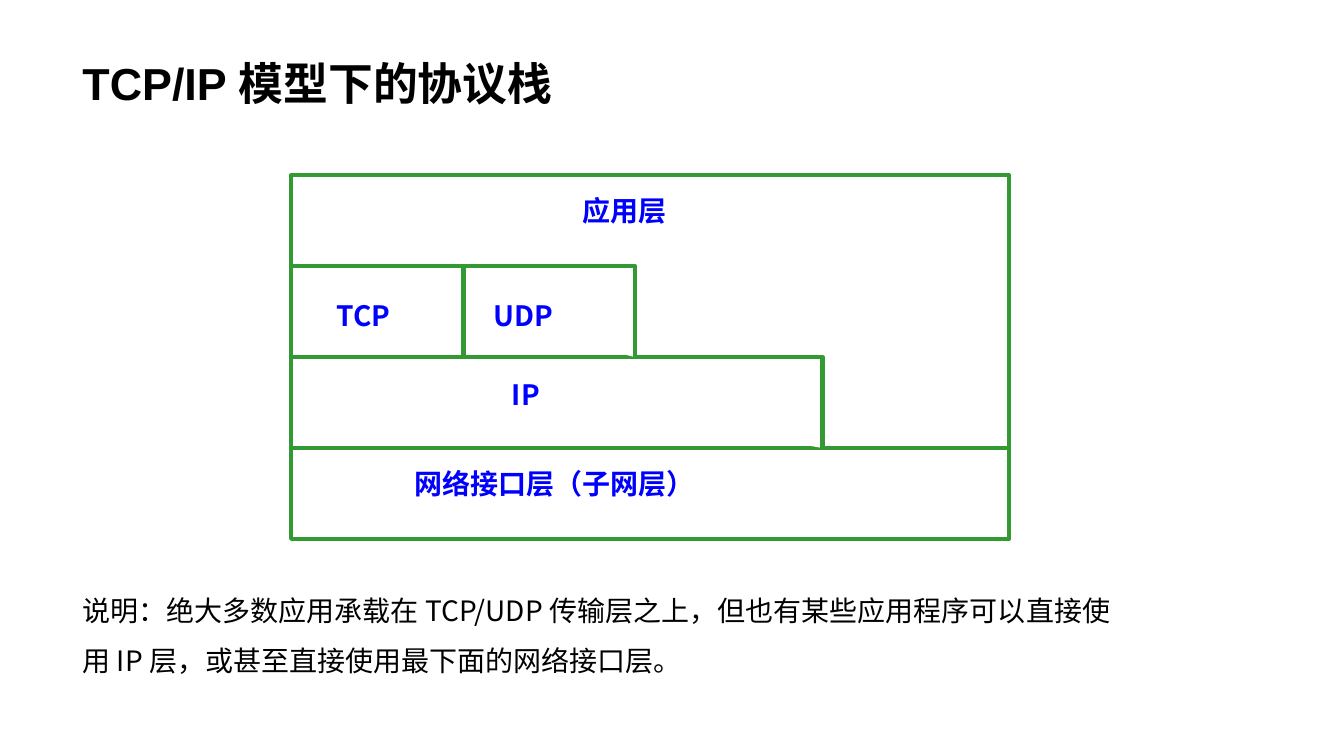
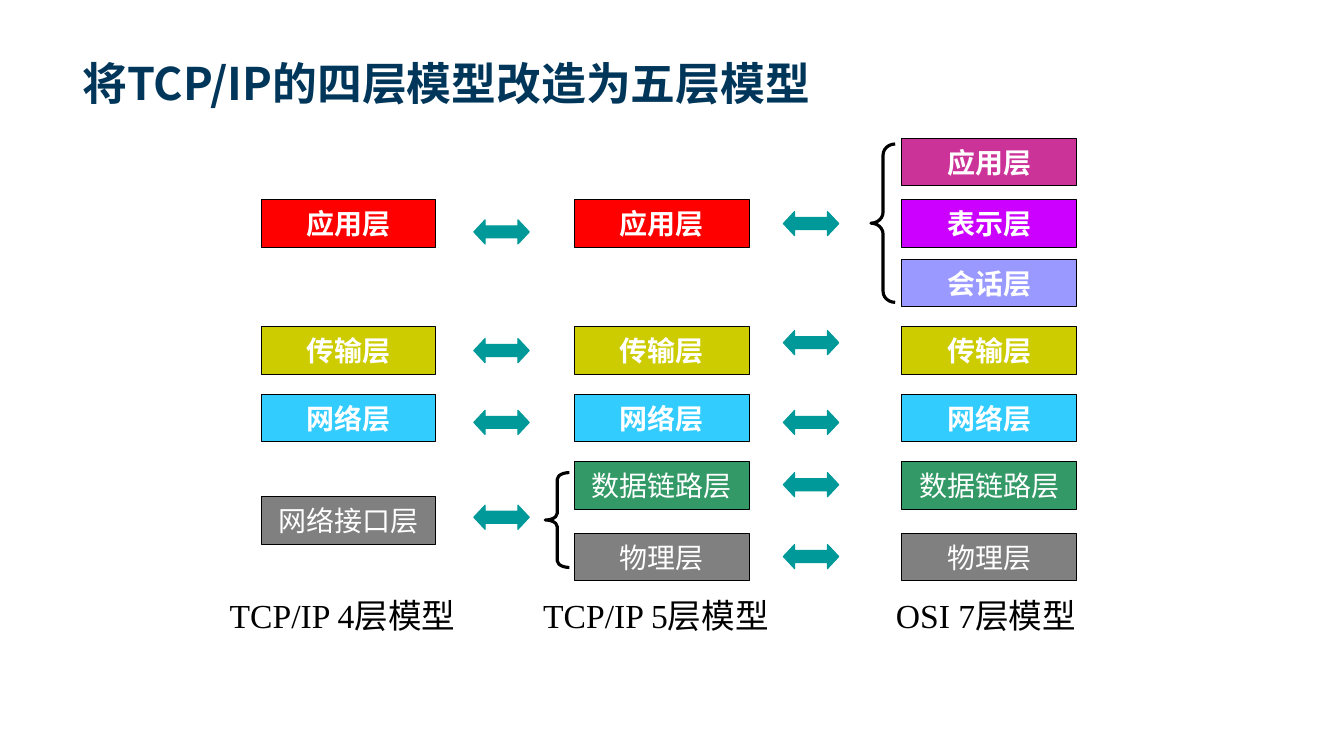
from dataclasses import dataclass

from lxml.etree import SubElement
from pptx import Presentation
from pptx.dml.color import RGBColor
from pptx.enum.shapes import MSO_CONNECTOR, MSO_SHAPE
from pptx.enum.text import MSO_ANCHOR, PP_ALIGN
from pptx.oxml.ns import qn
from pptx.util import Cm, Pt


@dataclass(frozen=True)
class Theme:
    sans: str = "Arial"
    chinese: str = "Noto Sans CJK SC"
    serif: str = "Times New Roman"
    title_size: int = 32
    caption_size: int = 24
    body_size: int = 20
    black: str = "000000"
    white: str = "FFFFFF"
    navy: str = "003659"
    blue: str = "0000FF"
    green: str = "339933"
    teal: str = "009999"
    red: str = "FF0000"
    magenta: str = "CC3399"
    purple: str = "CC00FF"
    lavender: str = "9999FF"
    olive: str = "CCCC00"
    sky: str = "33CCFF"
    emerald: str = "339966"
    gray: str = "808080"
    thick: float = 3
    medium: float = 2.25
    thin: float = 0.75


THEME = Theme()


def write_text(shape, text, *, size=THEME.body_size, font=THEME.chinese, color=THEME.black,
               bold=False, align=PP_ALIGN.LEFT, anchor=MSO_ANCHOR.TOP, line_spacing=None):
    frame = shape.text_frame
    frame.word_wrap = True
    frame.vertical_anchor = anchor
    paragraph = frame.paragraphs[0]
    paragraph.alignment = align
    paragraph.line_spacing = line_spacing
    run = paragraph.add_run()
    run.text = text
    run.font.size = Pt(size)
    run.font.name = font
    run.font.bold = bold
    run.font.color.rgb = RGBColor.from_string(color)
    east_asian = SubElement(run.font._element, qn("a:ea"))
    east_asian.set("typeface", THEME.chinese)


def add_text(slide, text, left, top, width, height, **text_format):
    box = slide.shapes.add_textbox(Cm(left), Cm(top), Cm(width), Cm(height))
    write_text(box, text, **text_format)


def add_title(slide, text, **text_format):
    add_text(slide, text, 1.83, 0.43, 30.15, 2.46, size=THEME.title_size,
             bold=True, anchor=MSO_ANCHOR.BOTTOM, **text_format)


def style_shape(shape, fill, line, line_width):
    shape.shadow.inherit = False
    if fill:
        shape.fill.solid()
        shape.fill.fore_color.rgb = RGBColor.from_string(fill)
    else:
        shape.fill.background()
    shape.line.color.rgb = RGBColor.from_string(line)
    shape.line.width = Pt(line_width)


def add_preset(slide, kind, left, top, width, height, *, fill=None, line=THEME.black,
               line_width=THEME.thin, adjustments=()):
    shape = slide.shapes.add_shape(kind, Cm(left), Cm(top), Cm(width), Cm(height))
    style_shape(shape, fill, line, line_width)
    for index, adjustment in enumerate(adjustments):
        shape.adjustments[index] = adjustment
    return shape


def add_line(slide, start_x, start_y, end_x, end_y):
    line = slide.shapes.add_connector(
        MSO_CONNECTOR.STRAIGHT, Cm(start_x), Cm(start_y), Cm(end_x), Cm(end_y))
    line.line.color.rgb = RGBColor.from_string(THEME.green)
    line.line.width = Pt(THEME.thick)
    SubElement(line._element.spPr, qn("a:effectLst"))


def add_step(slide, left, top, right, bottom):
    builder = slide.shapes.build_freeform(Cm(left), Cm(top))
    builder.add_line_segments([(Cm(right), Cm(top)), (Cm(right), Cm(bottom))], close=False)
    style_shape(builder.convert_to_shape(), THEME.white, THEME.green, THEME.thick)


def add_layer(slide, text, left, top, fill, bold):
    box = add_preset(slide, MSO_SHAPE.RECTANGLE, left, top, 4.4, 1.2, fill=fill)
    write_text(box, text, font=THEME.sans, color=THEME.white, bold=bold,
               align=PP_ALIGN.CENTER, anchor=MSO_ANCHOR.MIDDLE)


def add_arrow(slide, left, top):
    add_preset(slide, MSO_SHAPE.LEFT_RIGHT_ARROW, left, top, 1.4, 0.61, fill=THEME.teal,
               line=THEME.teal, adjustments=(0.5, 0.468))


def add_brace(slide, left, top, height, curve):
    add_preset(slide, MSO_SHAPE.LEFT_BRACE, left, top, 0.61, height,
               line_width=THEME.medium, adjustments=(curve, 0.5))


def build_stack_slide(slide):
    add_title(slide, "TCP/IP 模型下的协议栈", font=THEME.sans)

    left, right, top, row_height = 7.34, 25.43, 4.42, 2.29
    transport_top, ip_top, network_top, bottom = (
        top + row_height * row for row in range(1, 5))
    add_preset(slide, MSO_SHAPE.RECTANGLE, left, top, right - left, bottom - top,
               fill=THEME.white, line=THEME.green, line_width=THEME.thick)
    add_line(slide, left, network_top, right, network_top)
    add_step(slide, left, ip_top, 20.73, network_top)
    add_step(slide, left, transport_top, 16, ip_top)
    add_line(slide, 11.68, transport_top, 11.68, ip_top)

    labels = [
        ("应用层", 14.43, 4.75),
        ("TCP", 8.23, 7.39),
        ("UDP", 12.18, 7.39),
        ("IP", 12.65, 9.4),
        ("网络接口层（子网层）", 10.19, 11.63),
    ]
    for text, label_left, label_top in labels:
        width = 9 if len(text) > 3 else 3.5
        add_text(slide, text, label_left, label_top, width, 1.2, color=THEME.blue, bold=True)

    add_text(slide, "说明：绝大多数应用承载在 TCP/UDP 传输层之上，但也有某些应用程序可以直接使用 IP 层，"
             "或甚至直接使用最下面的网络接口层。", 1.83, 14.4, 26.75, 2.67, line_spacing=1.5)


def build_comparison_slide(slide):
    add_title(slide, "将TCP/IP的四层模型改造为五层模型", color=THEME.navy)

    application = ("应用层", 5.03, THEME.red, True)
    shared = [
        ("传输层", 8.23, THEME.olive, True),
        ("网络层", 9.93, THEME.sky, True),
    ]
    lower = [
        ("数据链路层", 11.63, THEME.emerald, False),
        ("物理层", 13.44, THEME.gray, False),
    ]
    upper = [
        ("应用层", 3.48, THEME.magenta, True),
        ("表示层", 5.03, THEME.purple, True),
        ("会话层", 6.53, THEME.lavender, True),
    ]
    interface = ("网络接口层", 12.52, THEME.gray, False)
    models = [
        ("TCP/IP 4层模型", 6.58, 5.54, 6.25, [application, *shared, interface]),
        ("TCP/IP 5层模型", 14.48, 13.44, 6.25, [application, *shared, *lower]),
        ("OSI 7层模型", 22.73, 22.33, 5.1, [*upper, *shared, *lower]),
    ]
    for caption, left, caption_left, caption_width, layers in models:
        for text, top, fill, bold in layers:
            add_layer(slide, text, left, top, fill, bold)
        add_text(slide, caption, caption_left, 14.86, caption_width, 1.27,
                 size=THEME.caption_size, font=THEME.serif)

    add_brace(slide, 13.74, 11.91, 2.39, 0.272)
    add_brace(slide, 21.95, 3.63, 3.99, 0.454)

    arrow_columns = [
        (11.94, (5.54, 8.53, 10.34, 12.73)),
        (19.74, (5.33, 8.33, 10.34, 11.91, 13.72)),
    ]
    for left, tops in arrow_columns:
        for top in tops:
            add_arrow(slide, left, top)


def main():
    presentation = Presentation()
    presentation.slide_width = Cm(33.87)
    presentation.slide_height = Cm(19.05)
    blank = presentation.slide_layouts[6]
    for build in (build_stack_slide, build_comparison_slide):
        build(presentation.slides.add_slide(blank))
    presentation.save("out.pptx")


if __name__ == "__main__":
    main()
